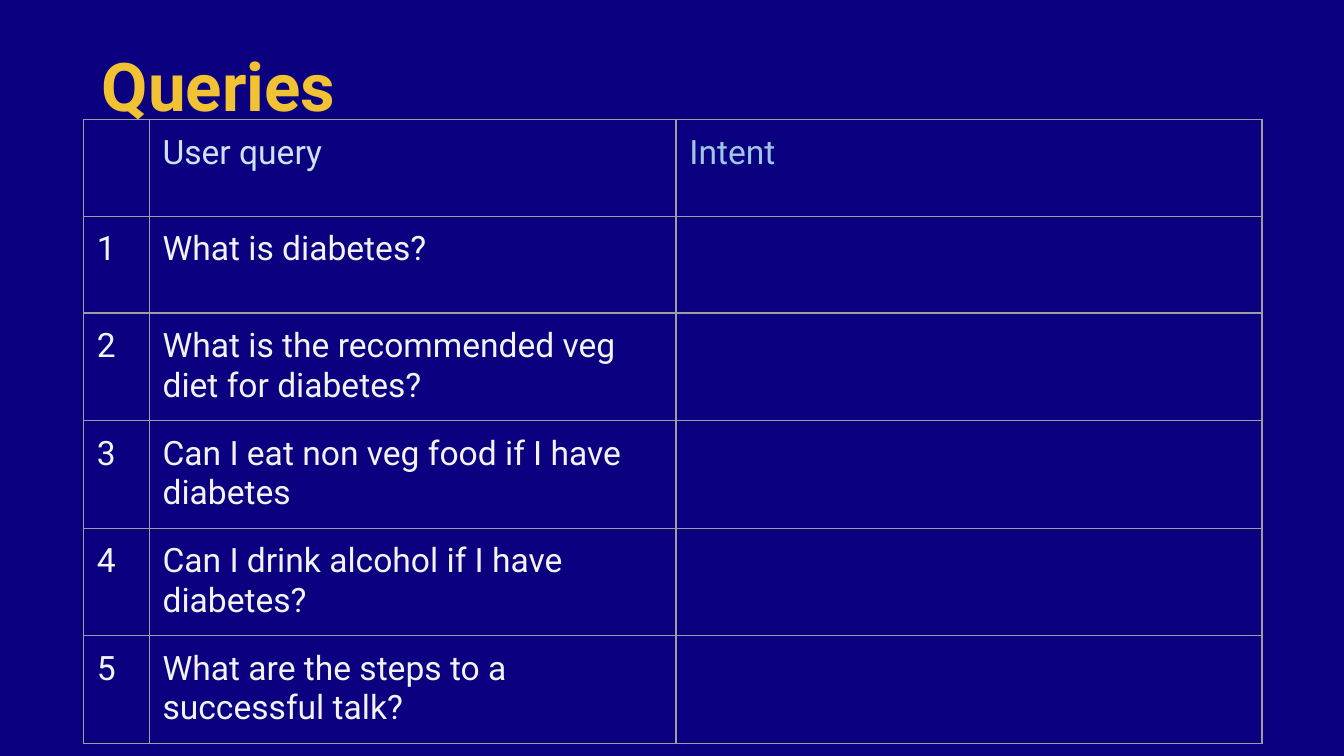
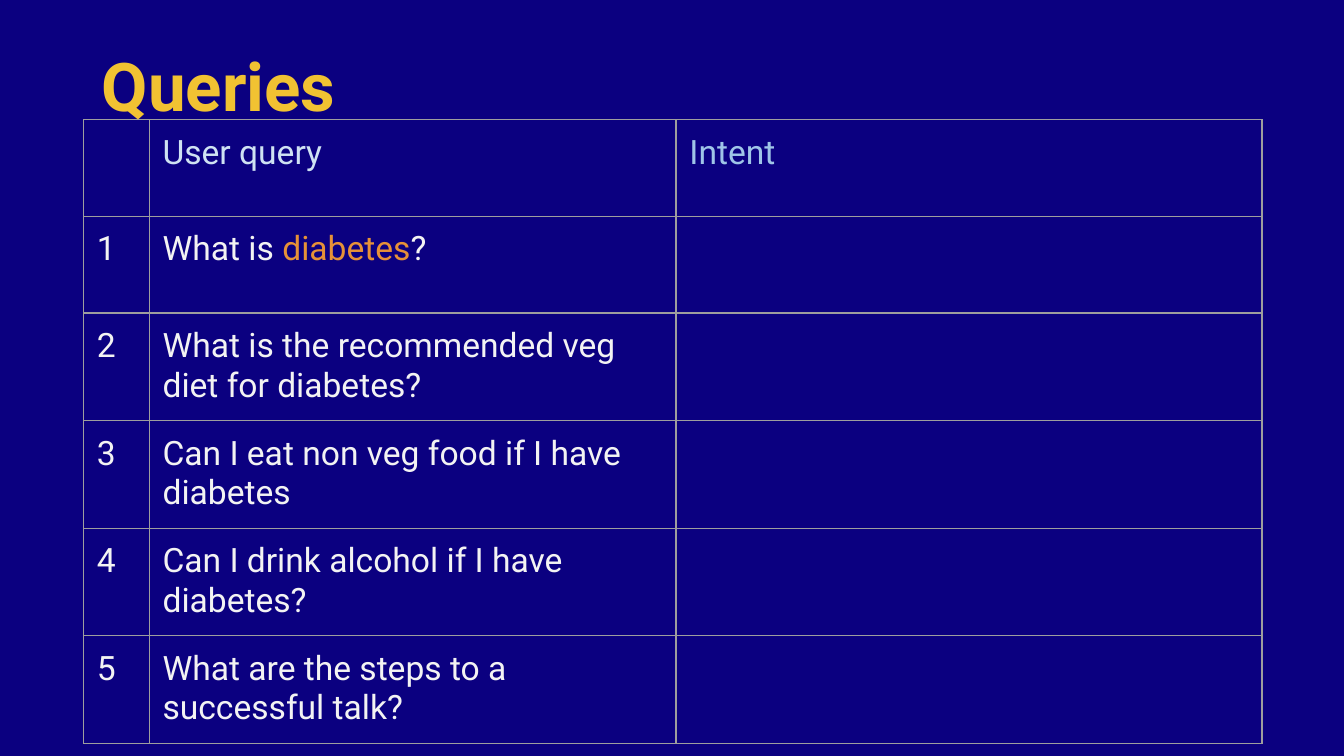
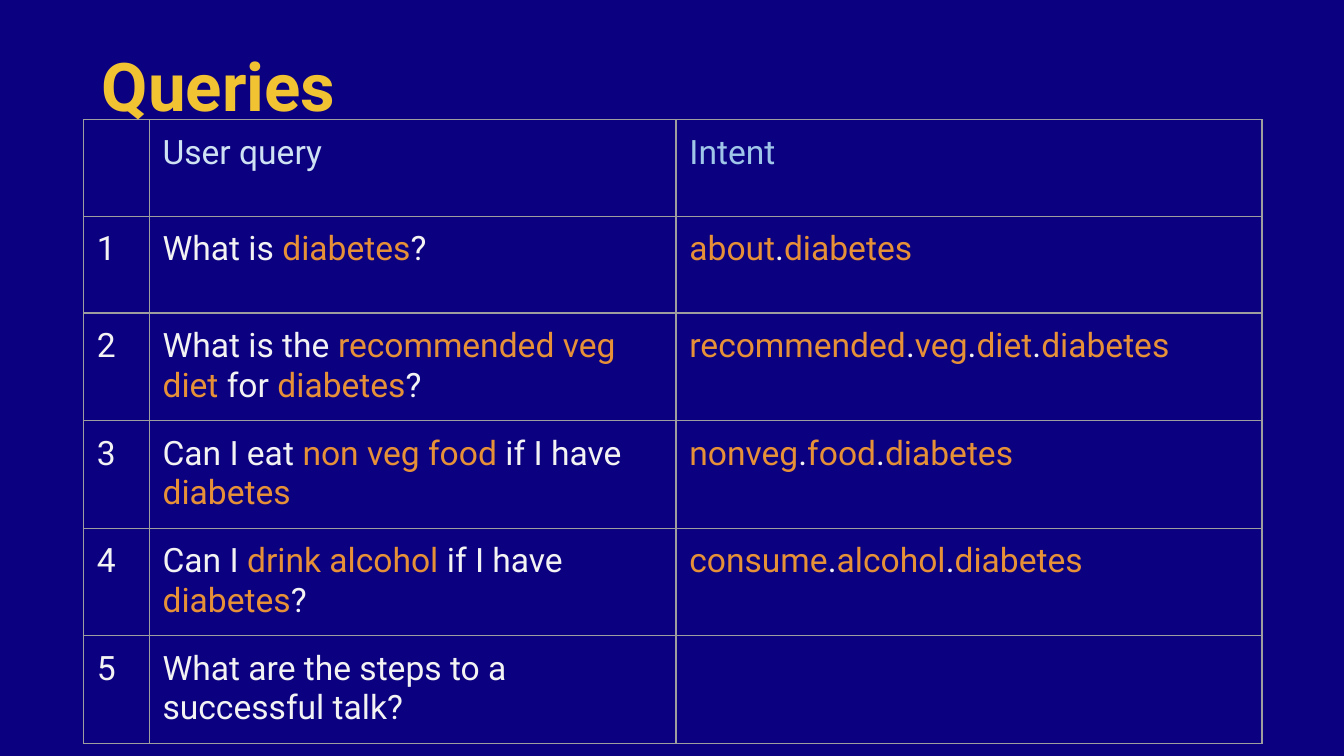
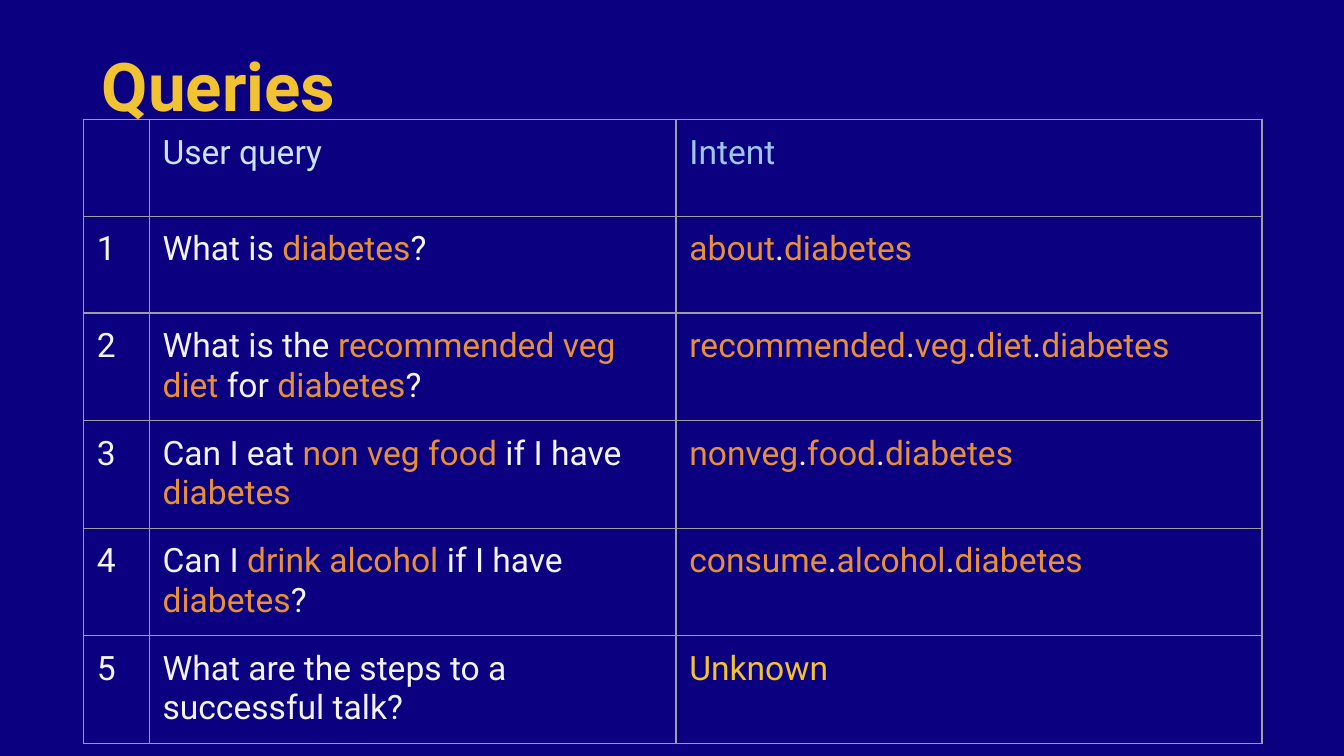
from lxml import etree
from pptx import Presentation
from pptx.dml.color import RGBColor
from pptx.enum.text import MSO_ANCHOR
from pptx.oxml.ns import qn
from pptx.util import Inches, Pt

TOP = MSO_ANCHOR.TOP
FONT = "Roboto"
COLORS = {
    "background": "0B0080",
    "gold": "F1C232",
    "query_header": "CFE2F3",
    "intent_header": "9FC5E8",
    "body": "F3F3F3",
    "highlight": "E69138",
    "border": "9E9E9E",
}
SLIDE_WIDTH = 10
SLIDE_HEIGHT = SLIDE_WIDTH * 9 / 16
INSET = 0.1
TITLE_BOX = (0.16, 0.14, 9.58, 1.37)
TABLE_ORIGIN = (0.62, 0.89)
COLUMN_WIDTHS = (0.49, 3.92, 4.36)
ROW_HEIGHTS = (0.72, 0.72, 0.79, 0.79, 0.79, 0.72)
HIGHLIGHT_MARK = "*"

QUERIES = (
    ("What is *diabetes*?", "*about*.*diabetes*"),
    ("What is the *recommended veg diet* for *diabetes*?",
     "*recommended*.*veg*.*diet*.*diabetes*"),
    ("Can I eat *non veg food* if I have *diabetes*", "*nonveg*.*food*.*diabetes*"),
    ("Can I *drink alcohol* if I have *diabetes*?", "*consume*.*alcohol*.*diabetes*"),
    ("What are the steps to a successful talk?", "Unknown"),
)
STAGES = ((0, 0), (1, 0), (5, 4), (5, 5))


def color(name):
    return RGBColor.from_string(COLORS[name])


def set_insets(target):
    target.margin_left = target.margin_right = Inches(INSET)
    target.margin_top = target.margin_bottom = Inches(INSET)


def add_title(slide, box, text):
    shape = slide.shapes.add_textbox(*map(Inches, box))
    frame = shape.text_frame
    frame.word_wrap = True
    frame.vertical_anchor = TOP
    set_insets(frame)
    paragraph = frame.paragraphs[0]
    paragraph.text = text
    paragraph.line_spacing = 1.15
    paragraph._p.get_or_add_pPr().set("marL", str(Inches(0.5)))
    font = paragraph.font
    font.name, font.size, font.bold = FONT, Pt(36), True
    font.color.rgb = color("gold")


def add_borders(cell):
    properties = cell._tc.get_or_add_tcPr()
    for side in ("lnL", "lnR", "lnT", "lnB"):
        line = etree.SubElement(properties, qn(f"a:{side}"), w=str(Pt(0.75)))
        fill = etree.SubElement(line, qn("a:solidFill"))
        etree.SubElement(fill, qn("a:srgbClr"), val=COLORS["border"])


def fill_cell(cell, marked_text, base_color):
    add_borders(cell)
    cell.fill.background()
    set_insets(cell)
    paragraph = cell.text_frame.paragraphs[0]
    paragraph.line_spacing = 1.0
    paragraph.font.name, paragraph.font.size = FONT, Pt(18)
    for index, text in enumerate(marked_text.split(HIGHLIGHT_MARK)):
        if text:
            run = paragraph.add_run()
            run.text = text
            run.font.color.rgb = color("highlight" if index % 2 else base_color)


def table_rows(highlighted, answered):
    yield ("", "body"), ("User query", "query_header"), ("Intent", "intent_header")
    for number, (query, intent) in enumerate(QUERIES, 1):
        shown_query = query if number <= highlighted else query.replace(HIGHLIGHT_MARK, "")
        shown_intent = intent if number <= answered else ""
        intent_color = "gold" if intent == "Unknown" else "body"
        yield (str(number), "body"), (shown_query, "body"), (shown_intent, intent_color)


def add_query_table(slide, origin, rows):
    size = (sum(COLUMN_WIDTHS), sum(ROW_HEIGHTS))
    table = slide.shapes.add_table(
        len(ROW_HEIGHTS), len(COLUMN_WIDTHS), *map(Inches, origin + size)
    ).table
    table.first_row = table.horz_banding = False
    for column, width in zip(table.columns, COLUMN_WIDTHS):
        column.width = Inches(width)
    for table_row, height, contents in zip(table.rows, ROW_HEIGHTS, rows):
        table_row.height = Inches(height)
        for cell, (text, base_color) in zip(table_row.cells, contents):
            fill_cell(cell, text, base_color)


def add_query_slide(presentation, highlighted, answered):
    slide = presentation.slides.add_slide(presentation.slide_layouts[6])
    slide.background.fill.solid()
    slide.background.fill.fore_color.rgb = color("background")
    add_title(slide, TITLE_BOX, "Queries")
    add_query_table(slide, TABLE_ORIGIN, table_rows(highlighted, answered))


def main():
    presentation = Presentation()
    presentation.slide_width = Inches(SLIDE_WIDTH)
    presentation.slide_height = Inches(SLIDE_HEIGHT)
    for highlighted, answered in STAGES:
        add_query_slide(presentation, highlighted, answered)
    presentation.save("out.pptx")


if __name__ == "__main__":
    main()
